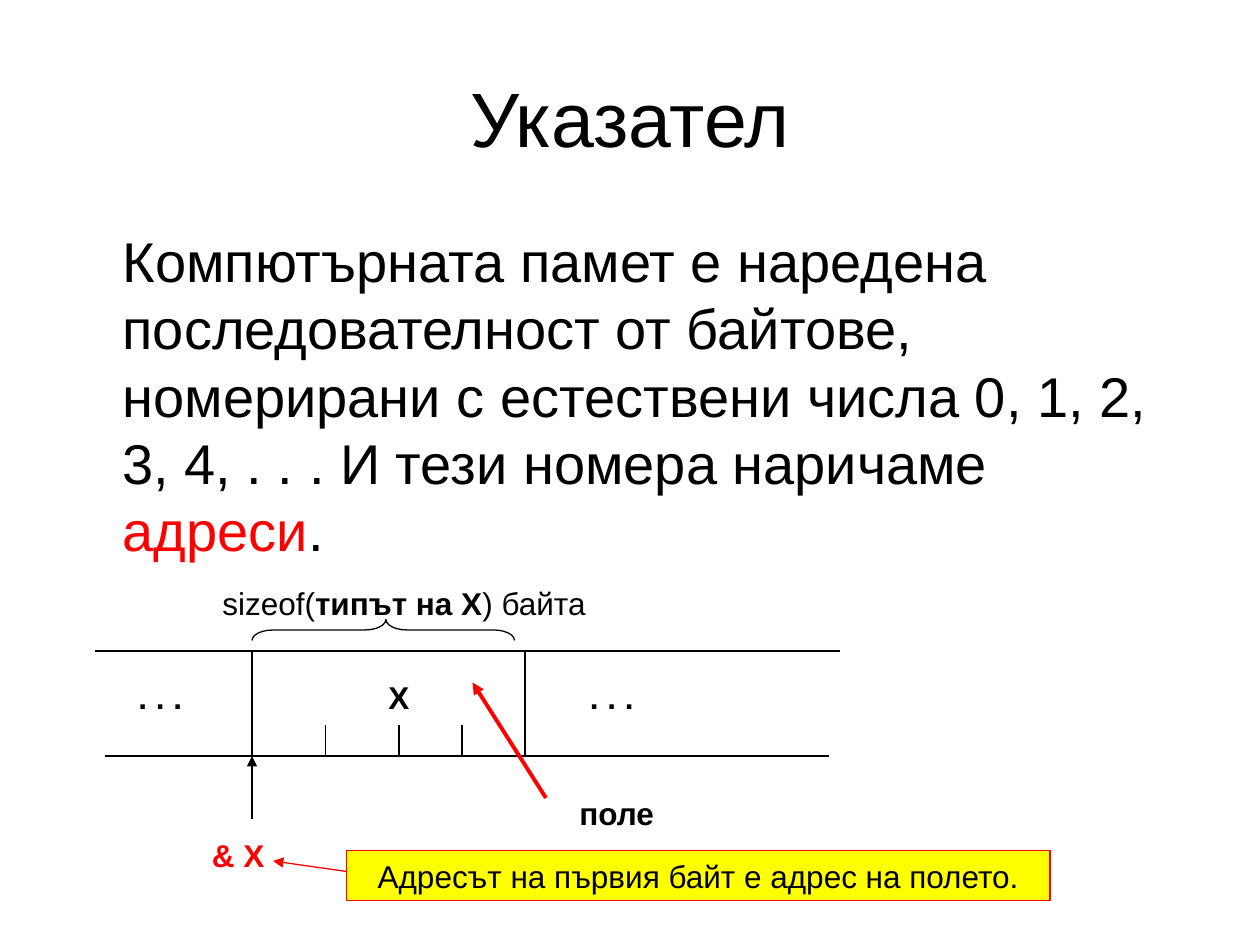
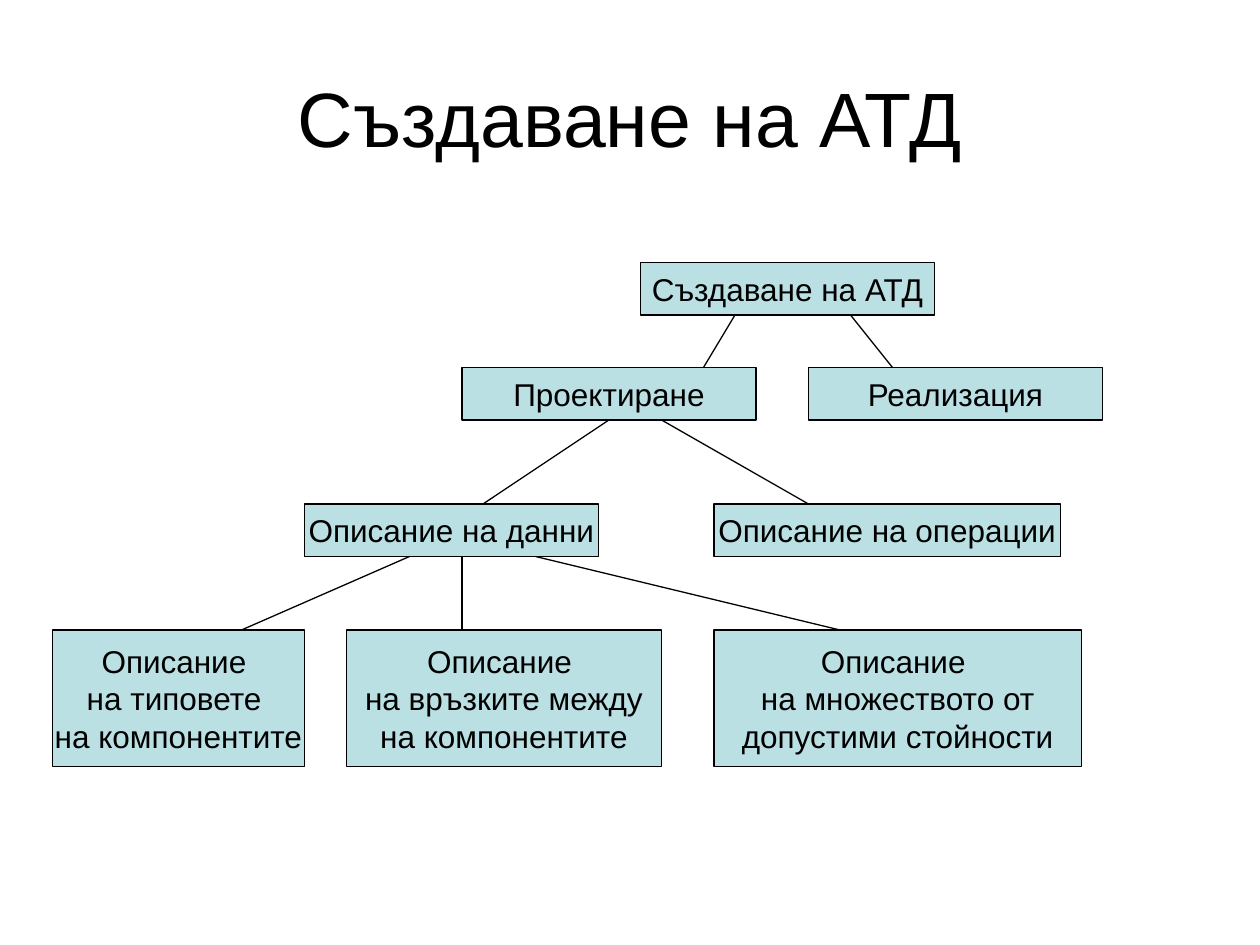
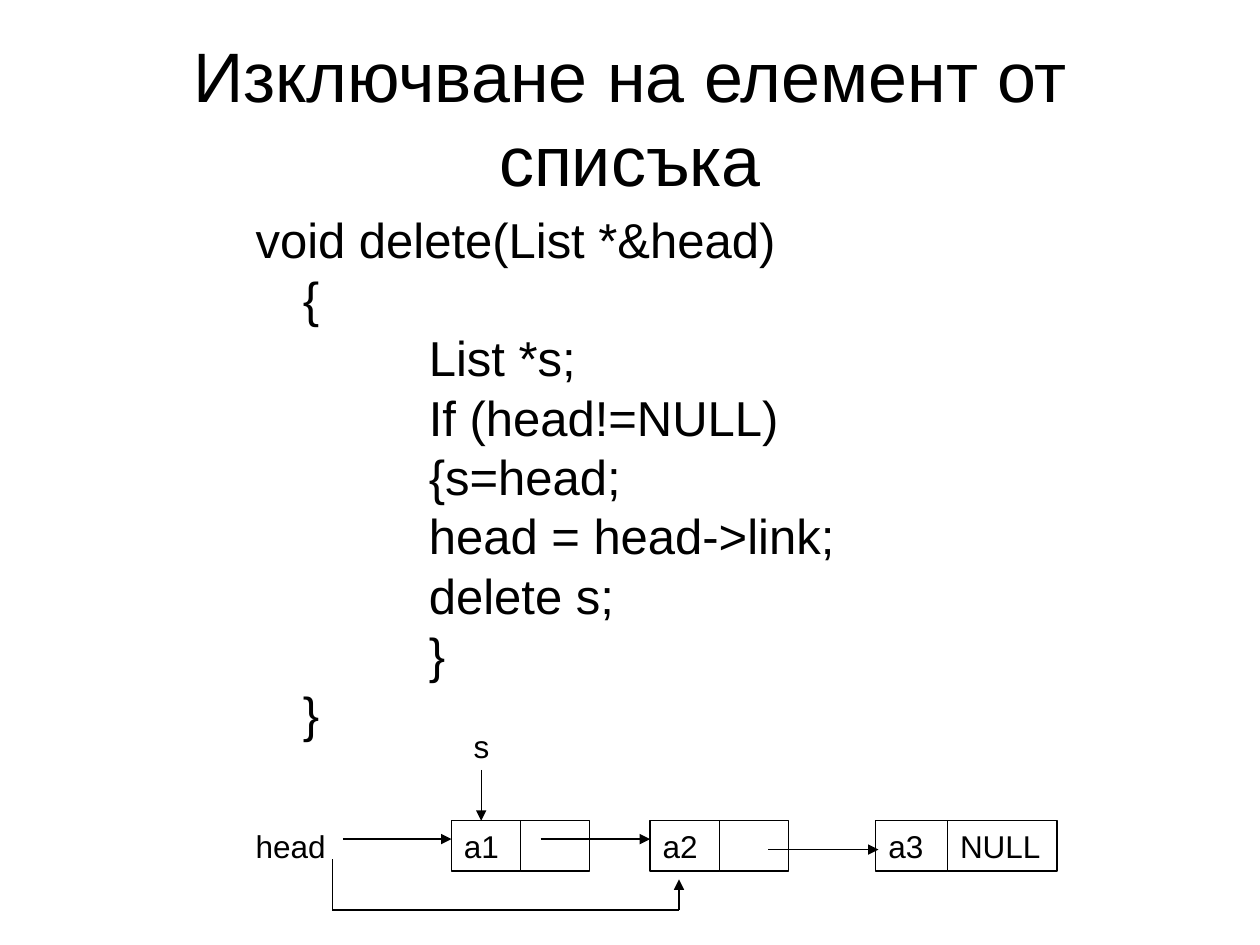
import pptx
import pptx.dml.color
import pptx.enum.shapes
import pptx.enum.text
import pptx.oxml.ns
import pptx.util
from lxml import etree

Pt = pptx.util.Pt
SHAPES = pptx.enum.shapes.MSO_SHAPE
ALIGN = pptx.enum.text.PP_ALIGN
ANCHOR = pptx.enum.text.MSO_ANCHOR

FONT = "Arial"
COLORS = {"black": "000000", "red": "FF0000", "yellow": "FFFF00", "node": "BBE0E3"}
TITLE_BOX = (36, 21.6, 648, 90)
LABEL_HEIGHT = 28.8


def color(name):
    return pptx.dml.color.RGBColor.from_string(COLORS[name])


def write_text(frame, paragraphs, size=18, ink="black", bold=False, align=ALIGN.LEFT,
               anchor=ANCHOR.TOP, wrap=True, before=0, spacing=1.0, margins=None):
    """Each paragraph is a string or a list of (text, ink, bold) spans."""
    frame.auto_size = pptx.enum.text.MSO_AUTO_SIZE.NONE
    frame.word_wrap = wrap
    frame.vertical_anchor = anchor
    for index, content in enumerate(paragraphs):
        para = frame.paragraphs[0] if index == 0 else frame.add_paragraph()
        para.alignment = align
        para.space_before = Pt(before)
        para.line_spacing = spacing
        if margins:
            para._p.get_or_add_pPr().set("marL", str(Pt(margins[index])))
        spans = [(content, ink, bold)] if isinstance(content, str) else content
        for words, span_ink, span_bold in spans:
            span = para.add_run()
            span.text = words
            span.font.name = FONT
            span.font.size = Pt(size)
            span.font.bold = span_bold
            span.font.color.rgb = color(span_ink)


def add_text(page, box, paragraphs, **text_format):
    holder = page.shapes.add_textbox(*map(Pt, box))
    write_text(holder.text_frame, paragraphs, **text_format)


def add_label(page, left, top, width, words, **text_format):
    add_text(page, (left, top, width, LABEL_HEIGHT), [words], **text_format)


def add_outline(page, box, kind=SHAPES.RECTANGLE, fill=None, line="black"):
    shape = page.shapes.add_shape(kind, *map(Pt, box))
    shape.shadow.inherit = False
    if fill:
        shape.fill.solid()
        shape.fill.fore_color.rgb = color(fill)
    else:
        shape.fill.background()
    shape.line.color.rgb = color(line)
    shape.line.width = Pt(0.75)
    return shape


def add_line(page, start, end, ink="black", width=0.75, arrow=False):
    line = page.shapes.add_connector(
        pptx.enum.shapes.MSO_CONNECTOR.STRAIGHT, *map(Pt, (*start, *end)))
    line.line.color.rgb = color(ink)
    line.line.width = Pt(width)
    if arrow:
        tail = etree.SubElement(line.line._get_or_add_ln(), pptx.oxml.ns.qn("a:tailEnd"))
        tail.set("type", "triangle")
    etree.SubElement(line._element.spPr, pptx.oxml.ns.qn("a:effectLst"))


def add_page(deck, title, size=44):
    page = deck.slides.add_slide(deck.slide_layouts[5])
    holder = page.shapes.title
    holder.left, holder.top, holder.width, holder.height = map(Pt, TITLE_BOX)
    write_text(holder.text_frame, [title], size=size, align=ALIGN.CENTER,
               anchor=ANCHOR.MIDDLE)
    return page


def draw_memory(page, left, top):
    """Strip of memory bytes with the field X and its address."""
    def at(x, y):
        return left + x, top + y

    strip_top, strip_bottom = 42, 102
    field_left, field_right = 90, 246

    # Byte strip and field borders
    add_line(page, at(0, strip_top), at(426, strip_top))
    add_line(page, at(6, strip_bottom), at(420, strip_bottom))
    for x in (field_left, field_right):
        add_line(page, at(x, strip_top), at(x, strip_bottom))
    for x in (132, 174, 210):
        add_line(page, at(x, 84), at(x, strip_bottom))

    # Names inside and around the strip
    add_label(page, *at(138, 54), 72, "Х", bold=True, align=ALIGN.CENTER)
    for x in (18, 276):
        add_label(page, *at(x, 54), 60, ". . .", bold=True)
    add_label(page, *at(60, 144), 66, "& X", bold=True, ink="red")
    add_label(page, *at(270, 120), 144, "поле", bold=True)

    # Field size, with a brace turned to point up
    add_label(page, *at(66, 0), 258, [("sizeof(", "black", False),
                                      ("типът на X", "black", True),
                                      (") байта", "black", False)])
    brace = add_outline(page, (*at(159, -45), 12, 150), kind=SHAPES.LEFT_BRACE)
    brace.rotation = 90
    brace.adjustments[0] = 1.0
    brace.adjustments[1] = 0.49

    # Address note and arrows
    note = add_outline(page, (*at(144, 156), 402, LABEL_HEIGHT), fill="yellow", line="red")
    write_text(note.text_frame, ["Адресът на първия байт е адрес на полето."],
               align=ALIGN.CENTER)
    add_line(page, at(field_left, 138), at(field_left, strip_bottom), arrow=True)
    add_line(page, at(258, 126), at(216, 60), ink="red", width=2.25, arrow=True)
    add_line(page, at(144, 168), at(102, 162), ink="red", arrow=True)


def draw_tree(page, left, top):
    """Tree of design steps; branches run from a node's bottom to a child's top."""
    nodes = {
        "root": (336, 0, 168, 30, ["Създаване на АТД"]),
        "design": (234, 60, 168, 30, ["Проектиране"]),
        "build": (432, 60, 168, 30, ["Реализация"]),
        "data": (144, 138, 168, 30, ["Описание на данни"]),
        "operations": (378, 138, 198, 30, ["Описание на операции"]),
        "types": (0, 210, 144, 78, ["Описание ", "на типовете ", "на компонентите"]),
        "links": (168, 210, 180, 78, ["Описание ", "на връзките между", "на компонентите"]),
        "values": (378, 210, 210, 78,
                   ["Описание ", "на множеството от", "допустими стойности"]),
    }
    branches = [
        ("root", 390, "design", 372), ("root", 456, "build", 480),
        ("design", 318, "data", 246), ("design", 348, "operations", 432),
        ("data", 204, "types", 108), ("data", 234, "links", 234),
        ("data", 276, "values", 450),
    ]
    for x, y, width, height, words in nodes.values():
        node = add_outline(page, (left + x, top + y, width, height), fill="node")
        write_text(node.text_frame, words, align=ALIGN.CENTER,
                   anchor=ANCHOR.MIDDLE, wrap=False)
    for parent, start_x, child, end_x in branches:
        parent_bottom = nodes[parent][1] + nodes[parent][3]
        add_line(page, (left + start_x, top + parent_bottom),
                 (left + end_x, top + nodes[child][1]))


def draw_list(page, left, top):
    """Linked list whose first element is being removed."""
    def at(x, y):
        return left + x, top + y

    row = 57

    # Elements: value cell and link cell
    cells = [(119, 39.5, "a1"), (158.5, 39.5, None), (232.5, 39.5, "a2"),
             (272, 39.5, None), (361.5, 41, "a3"), (402.5, 62.5, "NULL")]
    for x, width, words in cells:
        cell = add_outline(page, (*at(x, row), width, LABEL_HEIGHT))
        if words:
            write_text(cell.text_frame, [words])

    # Pointers
    add_label(page, *at(0, row), 62.5, "head")
    add_label(page, *at(124.5, 0), 23, "s", wrap=False)
    add_line(page, at(136, 28), at(136, row), arrow=True)
    for start_x, end_x, y in ((57, 119, 67.5), (170, 232.5, 67.5), (300, 363, 73.5)):
        add_line(page, at(start_x, y), at(end_x, y), arrow=True)

    # New path of head, around the first element
    add_line(page, at(51, 79), at(51, 108))
    add_line(page, at(51, 108), at(249, 108))
    add_line(page, at(249, 108), at(249, 90.5), arrow=True)


def build_pointer_page(deck):
    page = add_page(deck, "Указател")
    add_text(page, (36, 126, 648, 356), [[
        ("Компютърната памет е наредена последователност от байтове, номерирани с "
         "естествени числа 0, 1, 2, 3, 4, . . . И тези номера наричаме ", "black", False),
        ("адреси", "red", False), (".", "black", False)]],
        size=32, before=8, margins=[27])
    draw_memory(page, 54, 330)


def build_tree_page(deck):
    page = add_page(deck, "Създаване на АТД")
    draw_tree(page, 30, 150)


def build_list_page(deck):
    page = add_page(deck, "Изключване на елемент от списъка", size=40)
    code = [(0, "void delete(List *&head)"), (27, "{"), (99, "List *s;"),
            (99, "If (head!=NULL)"), (99, "{s=head;"), (99, "head = head->link;"),
            (99, "delete s;"), (99, "}"), (27, "}")]
    margins, lines = zip(*code)
    add_text(page, (139, 122.5, 523, 331), lines, size=28, before=7, spacing=0.8,
             margins=margins)
    draw_list(page, 139, 412)


def main():
    deck = pptx.Presentation()
    deck.slide_width, deck.slide_height = Pt(720), Pt(540)
    build_pointer_page(deck)
    build_tree_page(deck)
    build_list_page(deck)
    deck.save("out.pptx")


if __name__ == "__main__":
    main()
